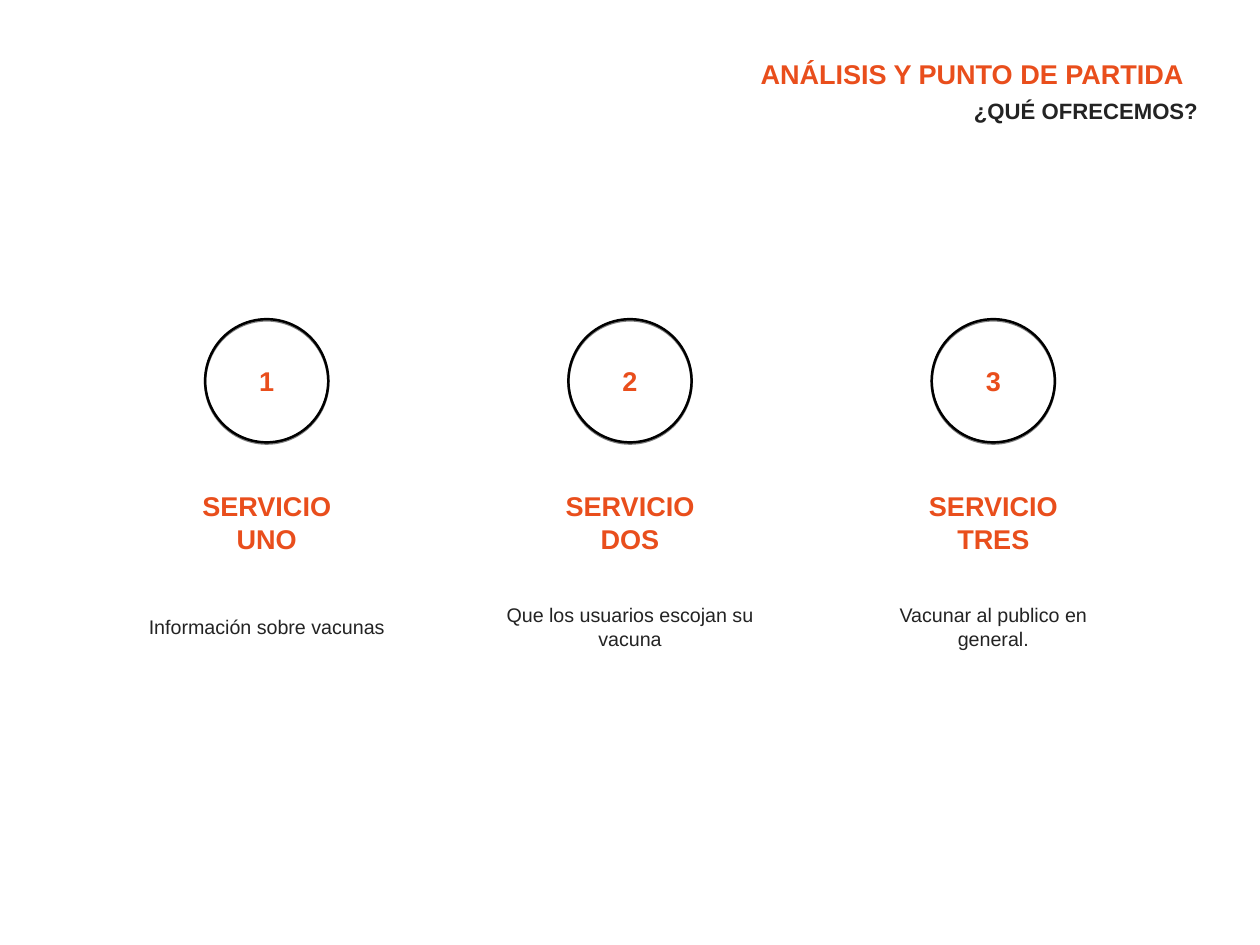
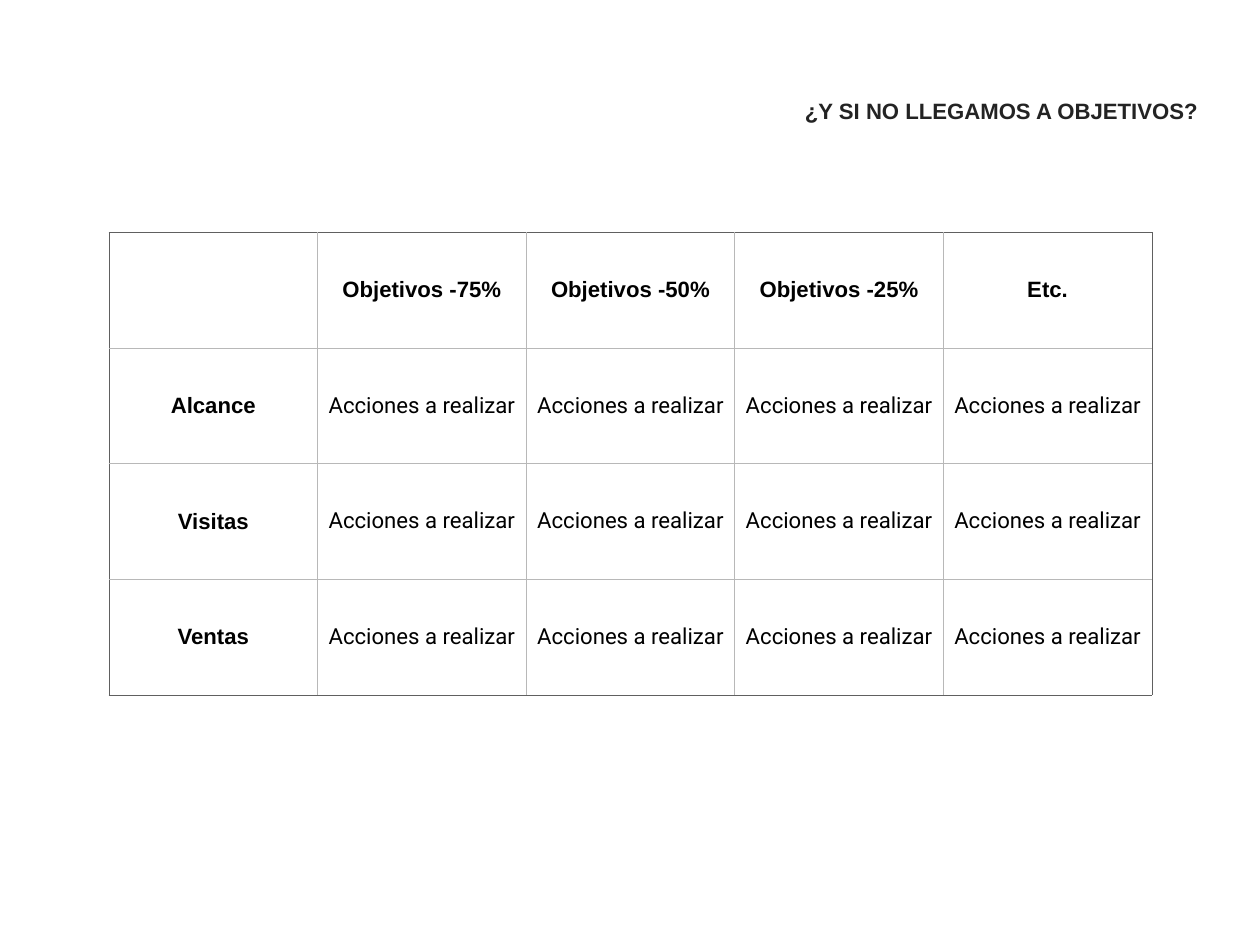
"""Build two slides: the services on offer and the plan for missed objectives."""
from lxml import etree
from pptx import Presentation
from pptx.dml.color import RGBColor
from pptx.enum.shapes import MSO_SHAPE
from pptx.enum.text import MSO_ANCHOR, MSO_AUTO_SIZE, PP_ALIGN
from pptx.oxml import parse_xml
from pptx.oxml.ns import nsdecls, qn
from pptx.util import Inches, Pt

CENTER, RIGHT = PP_ALIGN.CENTER, PP_ALIGN.RIGHT
MIDDLE = MSO_ANCHOR.MIDDLE
GROW = MSO_AUTO_SIZE.SHAPE_TO_FIT_TEXT
OVAL = MSO_SHAPE.OVAL

ORANGE = RGBColor(0xE9, 0x4E, 0x1C)
DARK = RGBColor(0x23, 0x23, 0x23)
BLACK = RGBColor(0x00, 0x00, 0x00)
WHITE = RGBColor(0xFF, 0xFF, 0xFF)
OUTER_BORDER = RGBColor(0x60, 0x60, 0x60)
INNER_BORDER = RGBColor(0xB8, 0xB8, 0xB8)

ACCENT = {"name": "Arial", "size": Pt(22), "bold": True, "color": ORANGE}
SUBTITLE = {"name": "Arial", "size": Pt(18), "bold": True, "color": DARK}
BODY = {"name": "Arial", "size": Pt(16), "bold": False, "color": DARK}
TABLE_HEADING = {"name": "Arial", "size": Pt(18), "bold": True, "color": BLACK}
TABLE_BODY = {"name": "Roboto", "size": Pt(18), "bold": False, "color": BLACK}

SHADOW = (
    f'<a:effectLst {nsdecls("a")}><a:outerShdw blurRad="0" dist="{Pt(1)}" dir="5400000" '
    'algn="ctr" rotWithShape="0"><a:srgbClr val="000000"><a:alpha val="50000"/></a:srgbClr>'
    "</a:outerShdw></a:effectLst>"
)


def write(paragraph, text, style, alignment=CENTER):
    paragraph.alignment = alignment
    run = paragraph.add_run()
    run.text = text
    for attribute, value in style.items():
        if attribute == "color":
            run.font.color.rgb = value
        else:
            setattr(run.font, attribute, value)


def add_text(slide, text, left, top, width, height, style, alignment=CENTER):
    box = slide.shapes.add_textbox(Inches(left), Inches(top), Inches(width), Inches(height))
    frame = box.text_frame
    settings = {"word_wrap": True, "auto_size": GROW, "vertical_anchor": MIDDLE}
    settings.update({f"margin_{side}": Inches(0.06) for side in ("left", "top", "right", "bottom")})
    for attribute, value in settings.items():
        setattr(frame, attribute, value)
    write(frame.paragraphs[0], text, style, alignment)


presentation = Presentation()
presentation.slide_width = Inches(14.22)
presentation.slide_height = Inches(10.66)
blank_layout = presentation.slide_layouts[6]

slides = []
for subtitle in ("¿QUÉ OFRECEMOS?", "¿Y SI NO LLEGAMOS A OBJETIVOS?"):
    slide = presentation.slides.add_slide(blank_layout)
    add_text(slide, subtitle, 6.68, 1.04, 6.9, 0.41, SUBTITLE, RIGHT)
    slides.append(slide)
services_slide, objectives_slide = slides

add_text(services_slide, "ANÁLISIS Y PUNTO DE PARTIDA", 8.33, 0.59, 5.28, 0.48, ACCENT)

SERVICES = [
    ("SERVICIO UNO", "Información sobre vacunas", 0.38),
    ("SERVICIO DOS", "Que los usuarios escojan su vacuna", 0.64),
    ("SERVICIO TRES", "Vacunar al publico en general.", 0.64),
]
DIAMETER = 1.39
HEADING_WIDTH = 2.02
DESCRIPTION_WIDTH = 2.91
DESCRIPTION_MIDDLE = 7.07

for index, (heading, description, height) in enumerate(SERVICES):
    center = 3.01 + 4.1 * index
    circle = services_slide.shapes.add_shape(
        OVAL, Inches(center - DIAMETER / 2), Inches(3.6), Inches(DIAMETER), Inches(DIAMETER)
    )
    circle.fill.background()
    circle.line.color.rgb = BLACK
    circle.line.width = Pt(2)
    circle._element.spPr.append(parse_xml(SHADOW))
    heading_left = center - HEADING_WIDTH / 2
    add_text(services_slide, str(index + 1), heading_left, 4.05, HEADING_WIDTH, 0.48, ACCENT)
    add_text(services_slide, heading, heading_left, 5.47, HEADING_WIDTH, 0.84, ACCENT)
    add_text(services_slide, description, center - DESCRIPTION_WIDTH / 2,
             DESCRIPTION_MIDDLE - height / 2, DESCRIPTION_WIDTH, height, BODY)

COLUMN_HEADINGS = ["", "Objetivos -75%", "Objetivos -50%", "Objetivos -25%", "Etc."]
ROW_HEADINGS = ["Alcance", "Visitas", "Ventas"]
rows = [COLUMN_HEADINGS] + [[heading] + ["Acciones a realizar"] * 4 for heading in ROW_HEADINGS]
last_row, last_column = len(rows) - 1, len(COLUMN_HEADINGS) - 1

table = objectives_slide.shapes.add_table(
    len(rows), len(COLUMN_HEADINGS), Inches(1.23), Inches(2.62), Inches(11.77), Inches(5.22)
).table
table.first_row = False
table.horz_banding = False
CELL_FORMAT = {
    "vertical_anchor": MIDDLE,
    "margin_left": Inches(0.06),
    "margin_right": Inches(0.06),
    "margin_top": Inches(0.05),
    "margin_bottom": Inches(0.05),
}

for row, texts in enumerate(rows):
    for column, text in enumerate(texts):
        cell = table.cell(row, column)
        for attribute, value in CELL_FORMAT.items():
            setattr(cell, attribute, value)
        outer_edges = {
            "a:lnL": column == 0,
            "a:lnR": column == last_column,
            "a:lnT": row == 0,
            "a:lnB": row == last_row,
        }
        for tag, is_outer in outer_edges.items():
            border = etree.SubElement(cell._tc.tcPr, qn(tag), w=str(Pt(0.45)))
            border_fill = etree.SubElement(border, qn("a:solidFill"))
            color = OUTER_BORDER if is_outer else INNER_BORDER
            etree.SubElement(border_fill, qn("a:srgbClr"), val=str(color))
        cell.fill.solid()
        cell.fill.fore_color.rgb = WHITE
        if text:
            style = TABLE_HEADING if row == 0 or column == 0 else TABLE_BODY
            write(cell.text_frame.paragraphs[0], text, style)

presentation.save("out.pptx")
